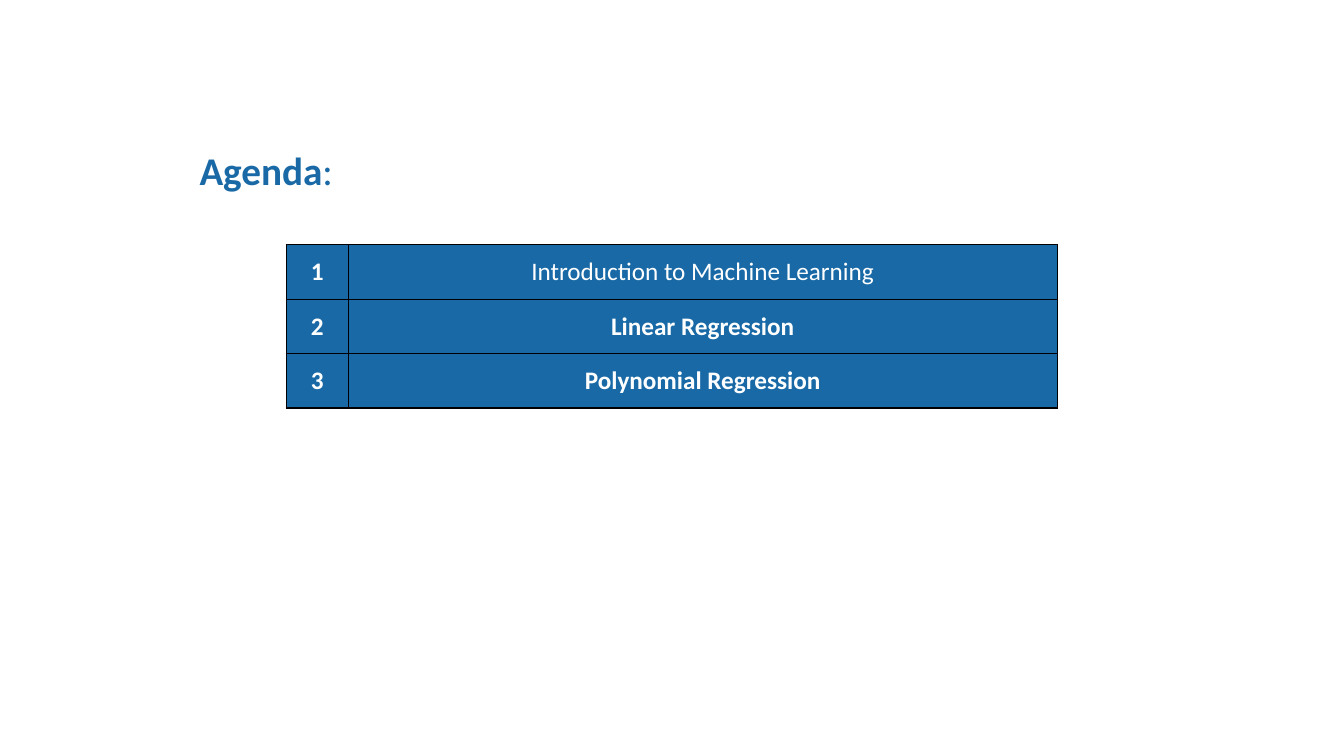
from dataclasses import dataclass

from lxml import etree
from pptx import Presentation
from pptx.dml.color import RGBColor
from pptx.enum.text import MSO_ANCHOR, MSO_AUTO_SIZE, PP_ALIGN
from pptx.oxml.ns import qn
from pptx.util import Cm, Pt

LEFT, CENTER = PP_ALIGN.LEFT, PP_ALIGN.CENTER
MIDDLE = MSO_ANCHOR.MIDDLE
GROW = MSO_AUTO_SIZE.SHAPE_TO_FIT_TEXT

TITLE = [("Agenda", True), (":", False)]
AGENDA = [
    ("Introduction to Machine Learning", False),
    ("Linear Regression", True),
    ("Polynomial Regression", True),
]


@dataclass(frozen=True)
class Theme:
    font: str = "Calibri"
    blue: str = "1869A6"
    white: str = "FFFFFF"
    border: str = "000000"
    title_size: int = 28
    cell_size: int = 18
    border_width: int = 1


THEME = Theme()
TITLE_BOX = Cm(4.78), Cm(3.56), Cm(4.85), Cm(1.45)
TABLE_LEFT, TABLE_TOP = Cm(7.21), Cm(6.17)
COLUMNS = Cm(1.57), Cm(17.86)
ROW_HEIGHT = Cm(1.37)


def write(tf, text, size, color, align=LEFT):
    p = tf.paragraphs[0]
    p.alignment = align
    for part, bold in text:
        r = p.add_run()
        r.text = part
        r.font.name = THEME.font
        r.font.size = Pt(size)
        r.font.bold = bold
        r.font.color.rgb = RGBColor.from_string(color)


def add_borders(cell):
    props = cell._tc.get_or_add_tcPr()
    for i, side in enumerate(("lnL", "lnR", "lnT", "lnB")):
        line = etree.Element(qn(f"a:{side}"), w=str(Pt(THEME.border_width)))
        fill = etree.SubElement(line, qn("a:solidFill"))
        etree.SubElement(fill, qn("a:srgbClr"), val=THEME.border)
        props.insert(i, line)


def add_title(s):
    tf = s.shapes.add_textbox(*TITLE_BOX).text_frame
    tf.word_wrap = True
    tf.auto_size = GROW
    write(tf, TITLE, THEME.title_size, THEME.blue)


def add_agenda(s):
    table = s.shapes.add_table(
        len(AGENDA), len(COLUMNS), TABLE_LEFT, TABLE_TOP,
        sum(COLUMNS), ROW_HEIGHT * len(AGENDA),
    ).table
    for column, width in zip(table.columns, COLUMNS):
        column.width = width
    for i, topic in enumerate(AGENDA):
        table.rows[i].height = ROW_HEIGHT
        for cell, text in zip(table.rows[i].cells, ((str(i + 1), True), topic)):
            cell.fill.solid()
            cell.fill.fore_color.rgb = RGBColor.from_string(THEME.blue)
            cell.vertical_anchor = MIDDLE
            add_borders(cell)
            write(cell.text_frame, [text], THEME.cell_size, THEME.white, CENTER)


def main():
    prs = Presentation()
    prs.slide_width, prs.slide_height = Cm(33.87), Cm(19.05)
    s = prs.slides.add_slide(prs.slide_layouts[6])
    add_title(s)
    add_agenda(s)
    prs.save("out.pptx")


if __name__ == "__main__":
    main()
